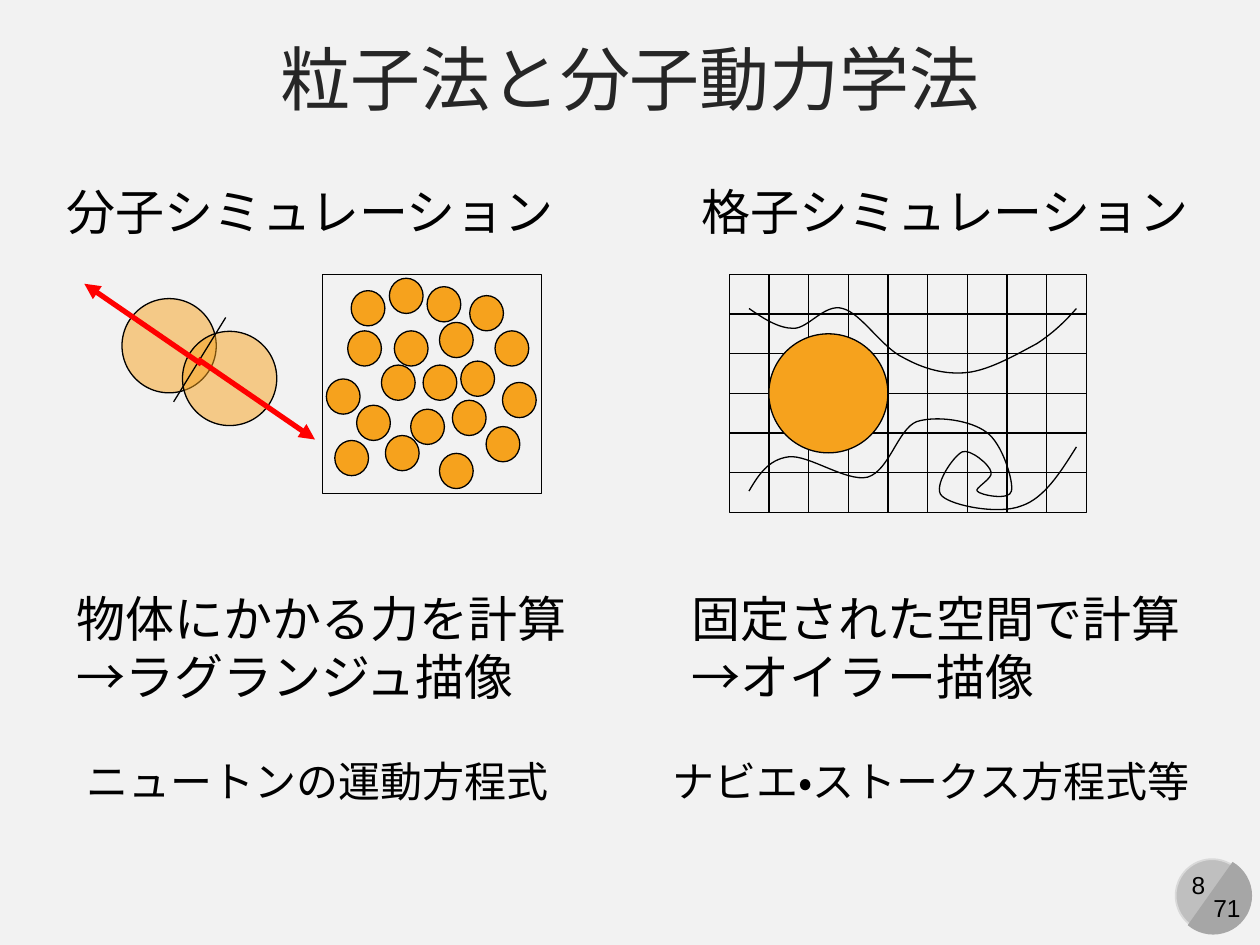
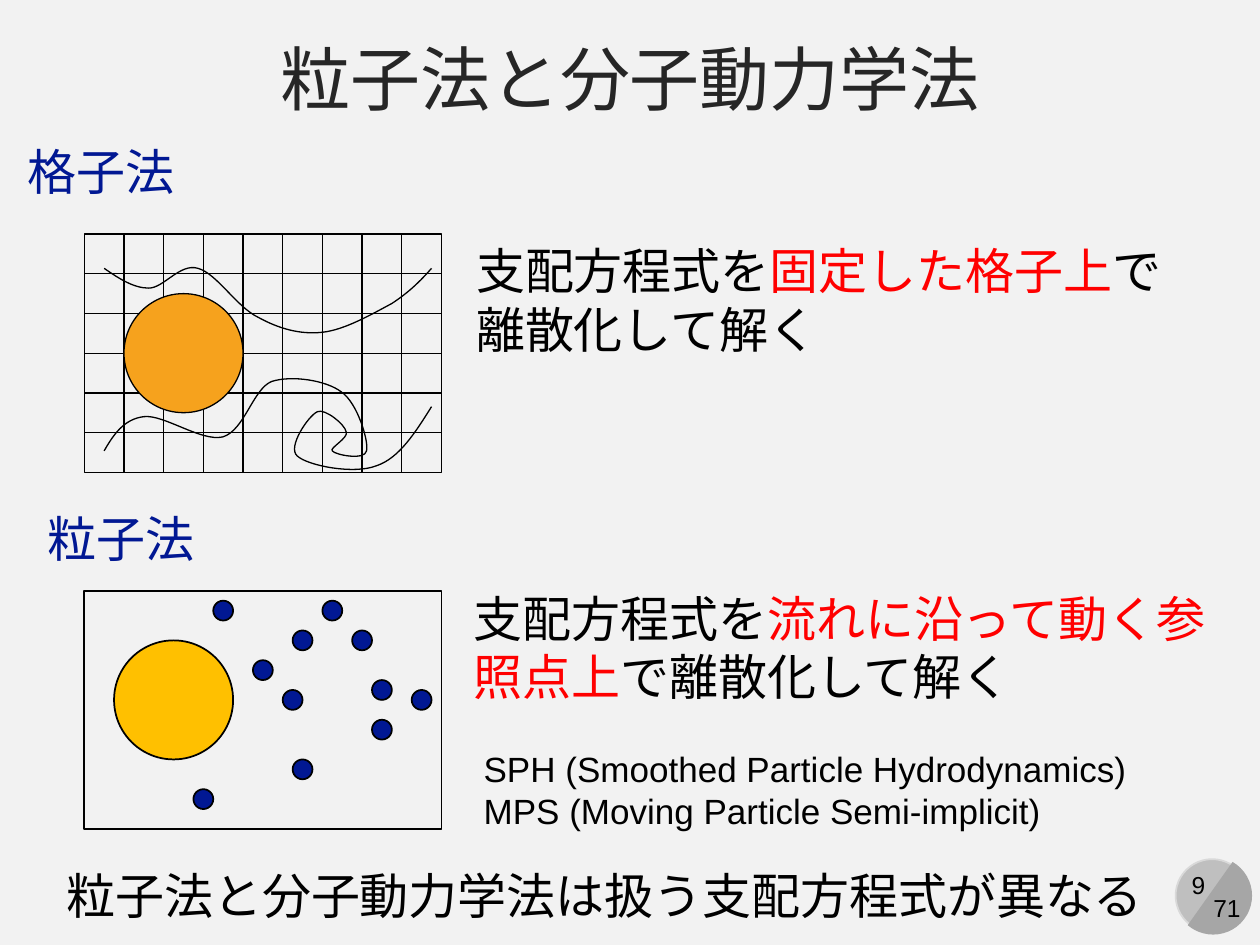
from pptx import Presentation
from pptx.dml.color import RGBColor
from pptx.enum.dml import MSO_THEME_COLOR
from pptx.enum.lang import MSO_LANGUAGE_ID
from pptx.enum.shapes import MSO_CONNECTOR, MSO_SHAPE
from pptx.enum.text import MSO_ANCHOR, MSO_AUTO_SIZE, PP_ALIGN
from pptx.oxml.ns import qn
from pptx.oxml.xmlchemy import OxmlElement
from pptx.util import Cm, Pt

STRAIGHT = MSO_CONNECTOR.STRAIGHT
RECTANGLE, OVAL, CHORD = MSO_SHAPE.RECTANGLE, MSO_SHAPE.OVAL, MSO_SHAPE.CHORD
LEFT, CENTER = PP_ALIGN.LEFT, PP_ALIGN.CENTER
MIDDLE = MSO_ANCHOR.MIDDLE
FIT_SHAPE = MSO_AUTO_SIZE.SHAPE_TO_FIT_TEXT
JAPANESE = MSO_LANGUAGE_ID.JAPANESE

BLACK = RGBColor(0x00, 0x00, 0x00)
RED = RGBColor(0xFF, 0x00, 0x00)
NAVY = RGBColor(0x01, 0x18, 0x93)
ORANGE = RGBColor(0xF6, 0xA2, 0x1D)
GOLD = RGBColor(0xFF, 0xC0, 0x00)
TITLE_GRAY = RGBColor(0x26, 0x26, 0x26)
PAPER = RGBColor(0xF2, 0xF2, 0xF2)
BADGE = RGBColor(0xBF, 0xBF, 0xBF)
BADGE_RIM = RGBColor(0xD9, 0xD9, 0xD9)
BADGE_SHADE = RGBColor(0xA6, 0xA6, 0xA6)

FONT = "Arial"
TITLE = "粒子法と分子動力学法"
PAGE_TOTAL = "71"

COLUMNS, ROWS, CELL = 9, 6, 0.8
UPPER_STREAM = [
    (0.4, 0.69),
    (0.69, 0.89), (0.99, 1.09), (1.3, 1.09),
    (1.6, 1.09), (1.93, 0.58), (2.29, 0.69),
    (2.67, 0.79), (3.07, 1.47), (3.51, 1.68),
    (3.91, 1.9), (4.34, 2.03), (4.8, 1.98),
    (5.26, 1.93), (5.82, 1.6), (6.2, 1.4),
    (6.55, 1.17), (6.78, 0.94), (7, 0.69),
]
LOWER_STREAM = [
    (0.4, 4.37),
    (0.58, 4.06), (0.79, 3.73), (1.2, 3.68),
    (1.6, 3.63), (2.36, 4.19), (2.79, 4.09),
    (3.23, 3.96), (3.4, 3.12), (3.78, 2.97),
    (4.19, 2.84), (4.88, 2.95), (5.18, 3.18),
    (5.51, 3.4), (5.74, 4.19), (5.69, 4.37),
    (5.66, 4.57), (5.05, 4.45), (5, 4.37),
    (4.93, 4.32), (5.33, 4.11), (5.28, 3.99),
    (5.26, 3.84), (4.85, 3.51), (4.7, 3.58),
    (4.52, 3.66), (4.09, 4.29), (4.29, 4.47),
    (4.5, 4.67), (5.44, 4.85), (5.89, 4.67),
    (6.35, 4.52), (6.68, 3.99), (7, 3.48),
]
MOLECULES = [
    (0.51, 1.14), (1.19, 1.83), (0.08, 2.11), (0.69, 2.64), (1.45, 1.14),
    (2.03, 1.83), (1.78, 2.72), (0.58, 0.33), (2.36, 0.97), (1.35, 0.08),
    (2.11, 0.25), (2.97, 0.43), (2.79, 1.75), (2.62, 2.54), (3.48, 1.14),
    (3.63, 2.18), (3.3, 3.07), (1.27, 3.25), (0.25, 3.35), (2.36, 3.61),
]
FLUID_POINTS = [
    (2.6, 0.2), (4.2, 0.8), (4.8, 0.2), (5.4, 0.8), (4, 2), (4.2, 3.4),
    (2.2, 4), (5.8, 2.6), (6.6, 2), (5.8, 1.8), (3.4, 1.4),
]
COLLIDING = [(2.46, 6.02), (3.68, 6.68)]
FORCES = [((3.99, 7.24), (6.35, 8.86)), ((4.06, 7.34), (1.7, 5.72))]

COMPARISON_TEXTS = [
    ((1.3, 11.73, 10.49, 2.64), 28, [("物体にかかる力を計算\n→ラグランジュ描像", BLACK)]),
    ((1.09, 3.53, 10.49, 1.45), 28, [("分子シミュレーション", BLACK)]),
    ((13.89, 3.53, 10.49, 1.45), 28, [("格子シミュレーション", BLACK)]),
    ((13.69, 11.73, 10.49, 2.64), 28, [("固定された空間で計算\n→オイラー描像", BLACK)]),
    ((1.5, 15.11, 9.91, 1.27), 24, [("ニュートンの運動方程式", BLACK)]),
    ((13.31, 15.11, 11.63, 1.27), 24, [("ナビエ・ストークス方程式等", BLACK)]),
]
METHOD_TEXTS = [
    ((0.71, 10.13, 3.51, 1.45), 28, [("粒子法", NAVY)]),
    ((0.3, 2.72, 3.51, 1.45), 28, [("格子法", NAVY)]),
    ((9.5, 14.94, 13.59, 1.96), 20,
     [("SPH (Smoothed Particle Hydrodynamics)\nMPS (Moving Particle Semi-implicit)", BLACK)]),
    ((1.09, 17.32, 22.45, 1.45), 28, [("粒子法と分子動力学法は扱う支配方程式が異なる", BLACK)]),
]
DISCRETIZATION_TEXTS = [
    ((9.35, 4.72, 14.35, 2.64), 28,
     [("支配方程式を", BLACK), ("固定した格子上", RED), ("で離散化して解く", BLACK)]),
    ((9.3, 11.73, 15.8, 2.64), 28,
     [("支配方程式を", BLACK), ("流れに沿って動く参照点上", RED), ("で離散化して解く", BLACK)]),
]


def lengths(values):
    return [Cm(value) for value in values]


def add_text(slide, box, size, parts, align=LEFT, wrap=False):
    text_box = slide.shapes.add_textbox(*lengths(box))
    text_frame = text_box.text_frame
    text_frame.text = parts[0][0]
    for text, _ in parts[1:]:
        text_frame.paragraphs[0].add_run().text = text
    text_frame.word_wrap = wrap
    text_frame.auto_size = FIT_SHAPE
    colours = [colour for _, colour in parts]
    for paragraph in text_frame.paragraphs:
        paragraph.alignment = align
        for run, colour in zip(paragraph.runs, colours):
            run.font.size = Pt(size)
            run.font.name = FONT
            run.font.language_id = JAPANESE
            run.font.color.rgb = colour
    return text_frame


def style(shape, fill=None, line=BLACK, width=0.75):
    shape.shadow.inherit = False
    if fill is None:
        shape.fill.background()
    else:
        shape.fill.solid()
        shape.fill.fore_color.rgb = fill
    if line is None:
        shape.line.fill.background()
    else:
        shape.line.color.rgb = line
        shape.line.width = Pt(width)


def add_figure(shapes, kind, box, fill=None, line=BLACK, width=0.75):
    shape = shapes.add_shape(kind, *lengths(box))
    style(shape, fill, line, width)
    return shape


def add_line(shapes, start, end, colour=BLACK, width=0.75):
    connector = shapes.add_connector(STRAIGHT, *lengths(start + end))
    connector.line.color.rgb = colour
    connector.line.width = Pt(width)
    connector._element.spPr.append(OxmlElement("a:effectLst"))
    return connector


def add_curve(shapes, left, top, points):
    corners = [lengths((left + x, top + y)) for x, y in points]
    builder = shapes.build_freeform(*corners[0])
    builder.add_line_segments(corners[1:], close=False)
    curve = builder.convert_to_shape()
    style(curve)
    segments = list(curve._element.iter(qn("a:lnTo")))
    for first in range(0, len(segments), 3):
        bezier = OxmlElement("a:cubicBezTo")
        segments[first].addprevious(bezier)
        for segment in segments[first:first + 3]:
            bezier.append(segment[0])
            segment.getparent().remove(segment)


def add_flow_grid(slide, left, top):
    shapes = slide.shapes.add_group_shape().shapes
    width, height = COLUMNS * CELL, ROWS * CELL
    frame = add_figure(shapes, RECTANGLE, (left, top, width, height))
    for column in range(1, COLUMNS):
        x = left + column * CELL
        add_line(shapes, (x, top + height), (x, top))
    for row in range(1, ROWS):
        y = top + row * CELL
        line = add_line(shapes, (left, y), (left + width, y))
        if row * 2 == ROWS:
            line.begin_connect(frame, 1)
            line.end_connect(frame, 3)
    add_figure(shapes, OVAL, (left + CELL, top + 1.5 * CELL, 3 * CELL, 3 * CELL), ORANGE)
    for stream in (UPPER_STREAM, LOWER_STREAM):
        add_curve(shapes, left, top, stream)


def add_molecule_box(slide, left, top):
    shapes = slide.shapes.add_group_shape().shapes
    for x, y in MOLECULES:
        add_figure(shapes, OVAL, (left + x, top + y, 0.68, 0.71), ORANGE)
    add_figure(shapes, RECTANGLE, (left, top, 4.42, 4.42))


def add_collision(slide):
    shapes = slide.shapes.add_group_shape().shapes
    for corner in COLLIDING:
        ball = add_figure(shapes, OVAL, corner + (1.9, 1.9), ORANGE)
        alpha = OxmlElement("a:alpha")
        alpha.set("val", "50000")
        ball._element.spPr.find(qn("a:solidFill"))[0].append(alpha)
    add_line(shapes, (3.5, 8.1), (4.55, 6.4))
    for start, end in FORCES:
        force = add_line(shapes, start, end, RED, 3)
        arrowhead = OxmlElement("a:tailEnd")
        arrowhead.set("type", "triangle")
        force.line._get_or_add_ln().append(arrowhead)


def add_particle_flow(slide, left, top):
    shapes = slide.shapes.add_group_shape().shapes
    add_figure(shapes, OVAL, (left + 0.6, top + 1, 2.4, 2.4), GOLD, width=1)
    for x, y in FLUID_POINTS:
        add_figure(shapes, OVAL, (left + x, top + y, 0.4, 0.4), NAVY, width=1)
    add_figure(shapes, RECTANGLE, (left, top, 7.2, 4.8), width=1)


def add_page(presentation, number):
    slide = presentation.slides.add_slide(presentation.slide_layouts[6])
    add_figure(slide.shapes, OVAL, (23.7, 17.32, 1.47, 1.47), BADGE, BADGE_RIM, 1)
    shade = add_figure(slide.shapes, CHORD, (23.67, 17.27, 1.57, 1.57), BADGE_SHADE, None)
    shade.adjustments[0] = 27
    shade.adjustments[1] = 141.42
    shade.rotation = 255
    add_text(slide, (23.6, 17.42, 1.12, 0.86), 14, [(str(number), BLACK)], CENTER)
    add_text(slide, (24.2, 17.88, 1.07, 0.86), 14, [(PAGE_TOTAL, BLACK)], CENTER)
    title = add_text(slide, (0, 0.53, 25.4, 2.08), 40, [(TITLE, TITLE_GRAY)], CENTER, True)
    title.auto_size = MSO_AUTO_SIZE.NONE
    title.vertical_anchor = MIDDLE
    return slide


def main():
    presentation = Presentation()
    presentation.slide_width, presentation.slide_height = Cm(25.4), Cm(19.05)
    background = presentation.slide_master.background.fill
    background.solid()
    background.fore_color.rgb = PAPER

    comparison = add_page(presentation, 8)
    add_flow_grid(comparison, 14.7, 5.53)
    add_molecule_box(comparison, 6.5, 5.53)
    add_collision(comparison)
    for content in COMPARISON_TEXTS:
        add_text(comparison, *content)

    methods = add_page(presentation, 9)
    add_flow_grid(methods, 1.7, 4.72)
    add_particle_flow(methods, 1.7, 11.91)
    for content in METHOD_TEXTS:
        add_text(methods, *content)
    for content in DISCRETIZATION_TEXTS:
        add_text(methods, *content, wrap=True)

    presentation.save("out.pptx")


if __name__ == "__main__":
    main()
